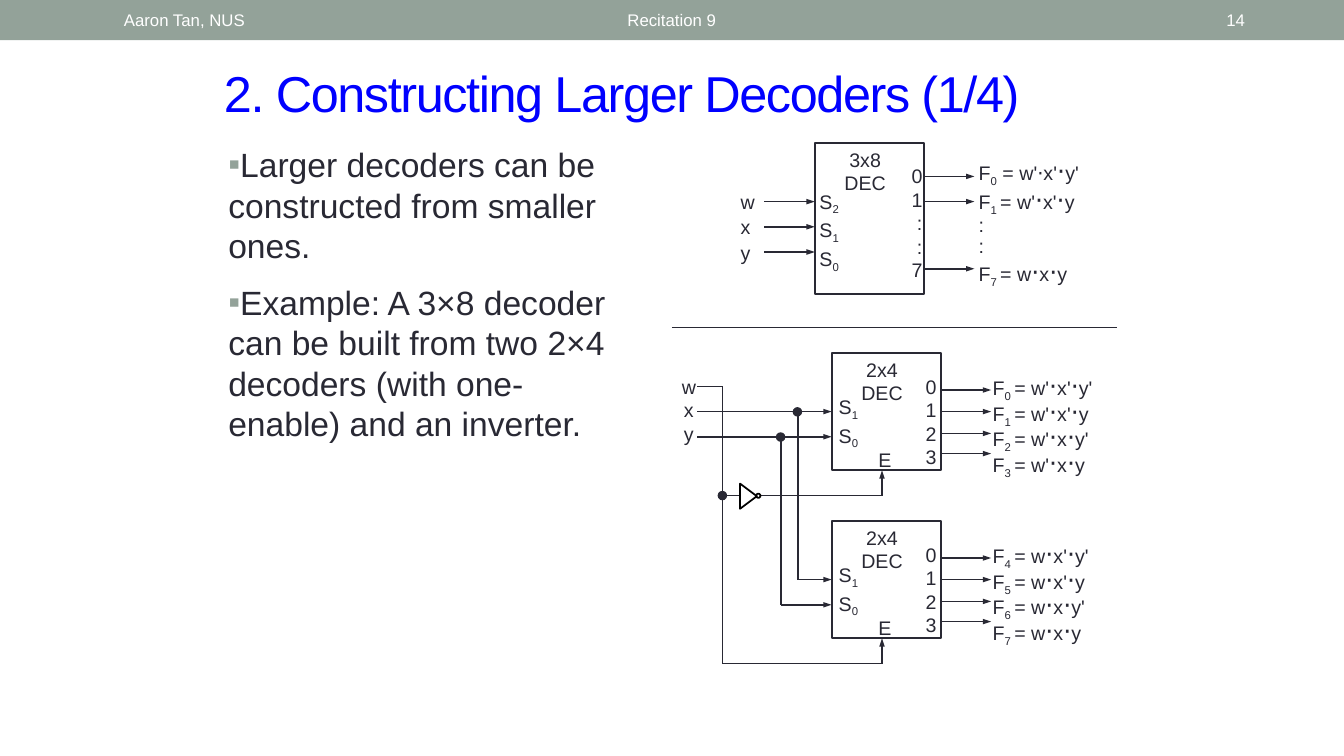
"""Build the slide on constructing a 3x8 decoder from two 2x4 decoders."""
import pptx
import pptx.util
import pptx.dml.color
import pptx.enum.shapes
import pptx.enum.text
import pptx.oxml
import pptx.oxml.ns

Pt = pptx.util.Pt
SHAPE = pptx.enum.shapes.MSO_SHAPE
ALIGN = {"l": pptx.enum.text.PP_ALIGN.LEFT, "c": pptx.enum.text.PP_ALIGN.CENTER,
         "r": pptx.enum.text.PP_ALIGN.RIGHT}
MIDDLE = pptx.enum.text.MSO_ANCHOR.MIDDLE
INK, SAGE, BLUE, WHITE, BLACK = "292934", "93A299", "0000FF", "FFFFFF", "000000"

TITLE = "2. Constructing Larger Decoders (1/4)"
BULLETS = [
    "Larger decoders can be constructed from smaller ones.",
    "Example: A 3×8 decoder can be built from two 2×4 decoders (with one-enable) and an inverter.",
]
HEADER = [
    ("Recitation 9", 217.4, 524.9, "c"),
    ("Aaron Tan, NUS", 81.4, 228.2, "l"),
    ("14", 828, 68.4, "r"),
]
# "_" switches subscript on and off, "*" is a large dot
FIRST_OUTPUT = "F_0_ = w'⋅x'*y'"
TEXTS_3X8 = [
    (["3x8", "DEC"], (588, 102, 60, 41), {"align": "c"}),
    (["S_2", "S_1", "S_0"], (578.2, 131.8, 34, 61), {"gap": 1.4}),
    (["w", "x", "y"], (522, 131.8, 24, 61), {"gap": 1.4}),
    (["0", "1", ":", ":", "7"], (636, 113.8, 30, 92), {"align": "r"}),
]
TEXTS_2X4 = [
    (["2x4", "DEC"], (600, 252, 60, 41), {"align": "c"}),
    (["S_1", "S_0"], (592, 278.4, 34, 43), {"gap": 1.4}),
    (["0", "1", "2", "3"], (646, 264, 30, 75), {"align": "r"}),
    (["E"], (620, 316.2, 24, 24), {"align": "c"}),
]
INPUTS_3X8, OUTPUTS_3X8 = (144, 162, 180), (126, 144, 192)
OUTPUTS_2X4 = (278.6, 294, 309.6, 324)
STEP = 120
WIRES = [
    (543, 354, 630, 354), (570, 294, 570, 414), (558, 312, 558, 432),
    (498, 276, 516, 276), (516, 276, 516, 474), (516, 354, 528, 354),
    (516, 474, 630, 474),
]
ARROWS = [
    (498, 294, 594, 294), (498, 312, 594, 312),
    (570, 414, 594, 414), (558, 432, 594, 432),
    (630, 354, 630, 336), (630, 474, 630, 456),
]
JUNCTIONS = [(516, 354), (557.6, 312.2), (569.6, 294.2)]


def color(value):
    return pptx.dml.color.RGBColor.from_string(value)


def assign(obj, **values):
    for name, value in values.items():
        setattr(obj, name, value)


def add_run(p, text, size, ink, sub=False):
    r = p.add_run()
    r.text = text
    assign(r.font, size=Pt(size), name="Arial")
    r.font.color.rgb = color(ink)
    if sub:
        r._r.get_or_add_rPr().set("baseline", "-25000")
    return r


def add_bullet(p):
    pPr = p._p.get_or_add_pPr()
    assign(pPr, marL=Pt(21), indent=Pt(-21))
    ns = pptx.oxml.ns.nsdecls("a")
    for xml in (f'<a:buClr {ns}><a:srgbClr val="{SAGE}"/></a:buClr>',
                f'<a:buFont {ns} typeface="Arial"/>',
                f'<a:buChar {ns} char="▪"/>'):
        pPr.append(pptx.oxml.parse_xml(xml))


def add_text(parent, lines, box, align="l", size=14, ink=INK, gap=0, spacing=None,
             anchor=None, bullet=False):
    tf = parent.add_textbox(*map(Pt, box)).text_frame
    assign(tf, word_wrap=True, vertical_anchor=anchor)
    for i, line in enumerate(lines):
        p = tf.paragraphs[0] if i == 0 else tf.add_paragraph()
        assign(p, alignment=ALIGN[align], line_spacing=spacing)
        if i and gap:
            p.space_before = Pt(gap)
        if bullet:
            add_bullet(p)
        for j, part in enumerate(line.split("_")):
            for k, piece in enumerate(part.split("*")):
                if k:
                    add_run(p, "⋅", 18, ink)
                if piece:
                    add_run(p, piece, size, ink, sub=j % 2 == 1)


def add_box(parent, kind, box, fill=None, line=None, width=1.5, rotation=0):
    sp = parent.add_shape(kind, *map(Pt, box))
    assign(sp, rotation=rotation)
    sp.shadow.inherit = False
    if fill:
        sp.fill.solid()
        sp.fill.fore_color.rgb = color(fill)
    else:
        sp.fill.background()
    if line:
        sp.line.color.rgb = color(line)
        sp.line.width = Pt(width)
    else:
        sp.line.fill.background()


def add_line(parent, ends, arrow=False, width=1.25):
    cx = parent.add_connector(pptx.enum.shapes.MSO_CONNECTOR.STRAIGHT, *map(Pt, ends))
    cx.line.color.rgb = color(INK)
    cx.line.width = Pt(width)
    ns = pptx.oxml.ns.nsdecls("a")
    if arrow:
        cx.line._get_or_add_ln().append(pptx.oxml.parse_xml(
            f'<a:tailEnd {ns} type="triangle" w="sm" len="med"/>'))
    cx._element.spPr.append(pptx.oxml.parse_xml(f"<a:effectLst {ns}/>"))


def output(n):
    terms = [v + ("" if n & bit else "'") for v, bit in (("w", 4), ("x", 2), ("y", 1))]
    return f"F_{n} _= " + "*".join(terms)


def draw_3x8(g):
    add_box(g, SHAPE.RECTANGLE, (582, 102, 78, 108), line=INK)
    for lines, box, style in TEXTS_3X8:
        add_text(g, lines, box, **style)
    for y in INPUTS_3X8:
        add_line(g, (546, y, 582, y), arrow=True)
    for y in OUTPUTS_3X8:
        add_line(g, (660, y, 696, y), arrow=True)
    add_text(g, [FIRST_OUTPUT, output(1), ":", ":", output(7)],
             (692, 108.7, 102, 96), spacing=0.9)


def draw_2x4(g, index):
    dy = index * STEP
    add_box(g, SHAPE.RECTANGLE, (594, 252 + dy, 78, 84), line=INK)
    for lines, (x, y, w, h), style in TEXTS_2X4:
        add_text(g, lines, (x, y + dy, w, h), **style)
    for y in OUTPUTS_2X4:
        add_line(g, (672, y + dy, 708, y + dy), arrow=True)
    add_text(g, [output(4 * index + n) for n in range(4)],
             (702, 264 + dy, 90, 77), spacing=0.8)


def draw_wiring(g):
    for ends in WIRES:
        add_line(g, ends)
    for ends in ARROWS:
        add_line(g, ends, arrow=True)
    add_box(g, SHAPE.FLOWCHART_MERGE, (525.6, 348.4, 18, 12), line=BLACK, width=1.25, rotation=270)
    add_box(g, SHAPE.OVAL, (540.2, 352.6, 3, 3), line=BLACK, width=1.25, rotation=270)
    for x, y in JUNCTIONS:
        add_box(g, SHAPE.OVAL, (x - 3, y - 3, 6, 6), fill=INK, line=INK, width=0.75)
    add_text(g, ["w", "x", "y"], (480, 264, 24, 58), align="c")


def main():
    prs = pptx.Presentation()
    assign(prs, slide_width=Pt(960), slide_height=Pt(540))
    s = prs.slides.add_slide(prs.slide_layouts[5])
    add_box(s.shapes, SHAPE.RECTANGLE, (0, 0, 960, 28.8), fill=SAGE)

    title = s.shapes.title
    assign(title, left=Pt(152.8), top=Pt(41), width=Pt(663), height=Pt(50.4))
    assign(title.text_frame, vertical_anchor=MIDDLE, word_wrap=True)
    p = title.text_frame.paragraphs[0]
    p.alignment = ALIGN["l"]
    r = add_run(p, TITLE, 36, BLUE)
    r._r.get_or_add_rPr().set("spc", "-100")

    add_text(s.shapes, BULLETS, (156, 99.4, 300, 399), size=24, gap=12, bullet=True)
    draw_3x8(s.shapes.add_group_shape().shapes)
    g = s.shapes.add_group_shape().shapes
    for index in range(2):
        draw_2x4(g, index)
    draw_wiring(g)
    add_line(s.shapes, (480, 234, 798, 234), width=0.75)
    for text, x, w, align in HEADER:
        add_text(s.shapes, [text], (x, 1.4, w, 26), align=align, size=12, ink=WHITE, anchor=MIDDLE)
    prs.save("out.pptx")


if __name__ == "__main__":
    main()
